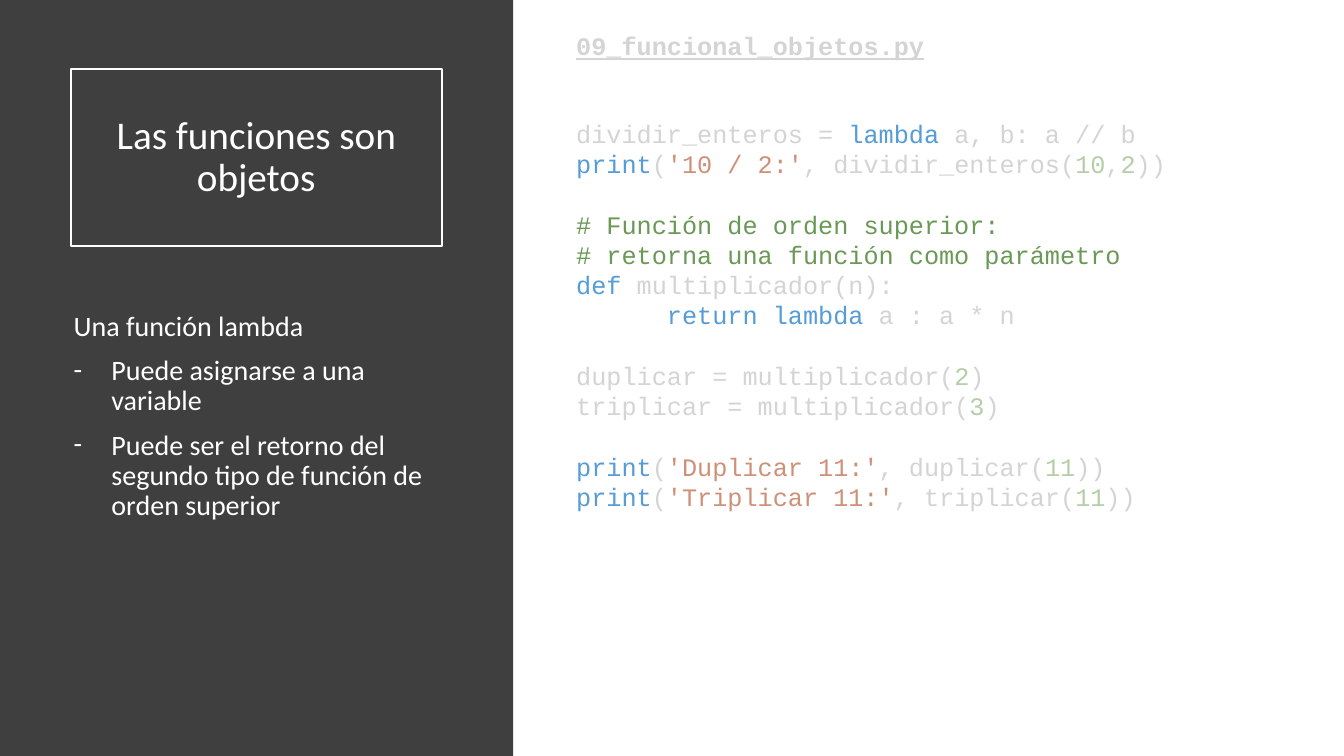
from lxml.etree import SubElement as Sub
from pptx import Presentation
from pptx.dml.color import RGBColor as RGB
from pptx.enum.shapes import MSO_SHAPE as Shape
from pptx.enum.text import MSO_ANCHOR as Anchor, PP_ALIGN as Align
from pptx.oxml.ns import qn
from pptx.util import Pt

WHITE = RGB(0xFF, 0xFF, 0xFF)
DARK = RGB(0x3F, 0x3F, 0x3F)
PLAIN = RGB(0xD4, 0xD4, 0xD4)
BLUE = RGB(0x56, 0x9C, 0xD6)
ROSE = RGB(0xCE, 0x91, 0x78)
LIME = RGB(0xB5, 0xCE, 0xA8)
GREEN = RGB(0x6A, 0x99, 0x55)

SANS, MONO = "Calibri", "Courier New"
LINE = Pt(21.6)

TITLE = "Las funciones son objetos"
LEAD = "Una función lambda"
POINTS = [
    "Puede asignarse a una variable",
    "Puede ser el retorno del segundo tipo de función de orden superior",
]
FILE = "09_funcional_objetos.py"


def show(label, name):
    """Tokens of a print line that calls a function with 11."""
    return [("print", BLUE), ("(", PLAIN), (label, ROSE),
            (f", {name}(", PLAIN), ("11", LIME), ("))", PLAIN)]


def make(name, num):
    """Tokens of a line that builds a multiplier."""
    return [(f"{name} = multiplicador(", PLAIN), (num, LIME), (")", PLAIN)]


# Blocks of code lines, one blank line apart
CODE = [
    [
        [("dividir_enteros = ", PLAIN), ("lambda", BLUE),
         (" a, b: a // b", PLAIN)],
        [("print", BLUE), ("(", PLAIN), ("'10 / 2:'", ROSE),
         (", dividir_enteros(", PLAIN), ("10", LIME), (",", PLAIN),
         ("2", LIME), ("))", PLAIN)],
    ],
    [
        [("# Función de orden superior:", GREEN)],
        [("# retorna una función como parámetro", GREEN)],
        [("def", BLUE), (" multiplicador(n):", PLAIN)],
        [("      return lambda", BLUE), (" a : a * n", PLAIN)],
    ],
    [make("duplicar", "2"), make("triplicar", "3")],
    [show("'Duplicar 11:'", "duplicar"), show("'Triplicar 11:'", "triplicar")],
]


def style(font, face, size, color):
    font.name, font.size = face, Pt(size)
    font.color.rgb = color


def add_box(slide, x, y, w, h):
    box = slide.shapes.add_textbox(Pt(x), Pt(y), Pt(w), Pt(h))
    box.text_frame.word_wrap = True
    return box


def add_panel(slide, x, y, w, h):
    # Dark background
    panel = slide.shapes.add_shape(Shape.RECTANGLE, Pt(x), Pt(y), Pt(w), Pt(h))
    panel.shadow.inherit = False
    panel.fill.solid()
    panel.fill.fore_color.rgb = DARK
    panel.line.fill.background()

    # Framed title
    frame = add_box(slide, x + 50.5, y + 49, 265, 127)
    frame.line.color.rgb = WHITE
    frame.line.width = Pt(1.5)
    text = frame.text_frame
    text.vertical_anchor = Anchor.MIDDLE
    text.text = TITLE
    para = text.paragraphs[0]
    para.alignment = Align.CENTER
    para.line_spacing = 0.9
    style(para.runs[0].font, SANS, 28, WHITE)

    # Lead line and dashed list
    text = add_box(slide, x + 45.5, y + 219.5, 276, 267).text_frame
    text.text = "\n".join([LEAD, *POINTS])
    for i, para in enumerate(text.paragraphs):
        para.line_spacing = 0.9
        if i:
            para.space_before = Pt(10)
            props = para._p.get_or_add_pPr()
            props.set("marL", str(Pt(27)))
            props.set("indent", str(Pt(-27)))
            Sub(props, qn("a:buFont"), typeface=SANS)
            Sub(props, qn("a:buChar"), char="-")
        style(para.runs[0].font, SANS, 20, WHITE)


def add_code(slide, x, y, w, h):
    # File name
    text = add_box(slide, x, y, w, 51).text_frame
    text.text = FILE
    para = text.paragraphs[0]
    para.line_spacing = LINE
    font = para.runs[0].font
    style(font, MONO, 18, PLAIN)
    font.bold = font.underline = True

    # Coloured listing
    text = add_box(slide, x, y + 63, w - 31, h - 63).text_frame
    para = text.paragraphs[0]
    for b, block in enumerate(CODE):
        for i, tokens in enumerate(block):
            if b or i:
                para = text.add_paragraph()
            if b and not i:
                para.space_before = LINE
            para.line_spacing = LINE
            for word, color in tokens:
                run = para.add_run()
                run.text = word
                style(run.font, MONO, 18, color)


def main():
    deck = Presentation()
    deck.slide_width, deck.slide_height = Pt(960), Pt(540)
    slide = deck.slides.add_slide(deck.slide_layouts[6])
    add_panel(slide, 0, 0, 366.5, 540)
    add_code(slide, 404.5, 18, 511, 354)
    deck.save("out.pptx")


if __name__ == "__main__":
    main()
